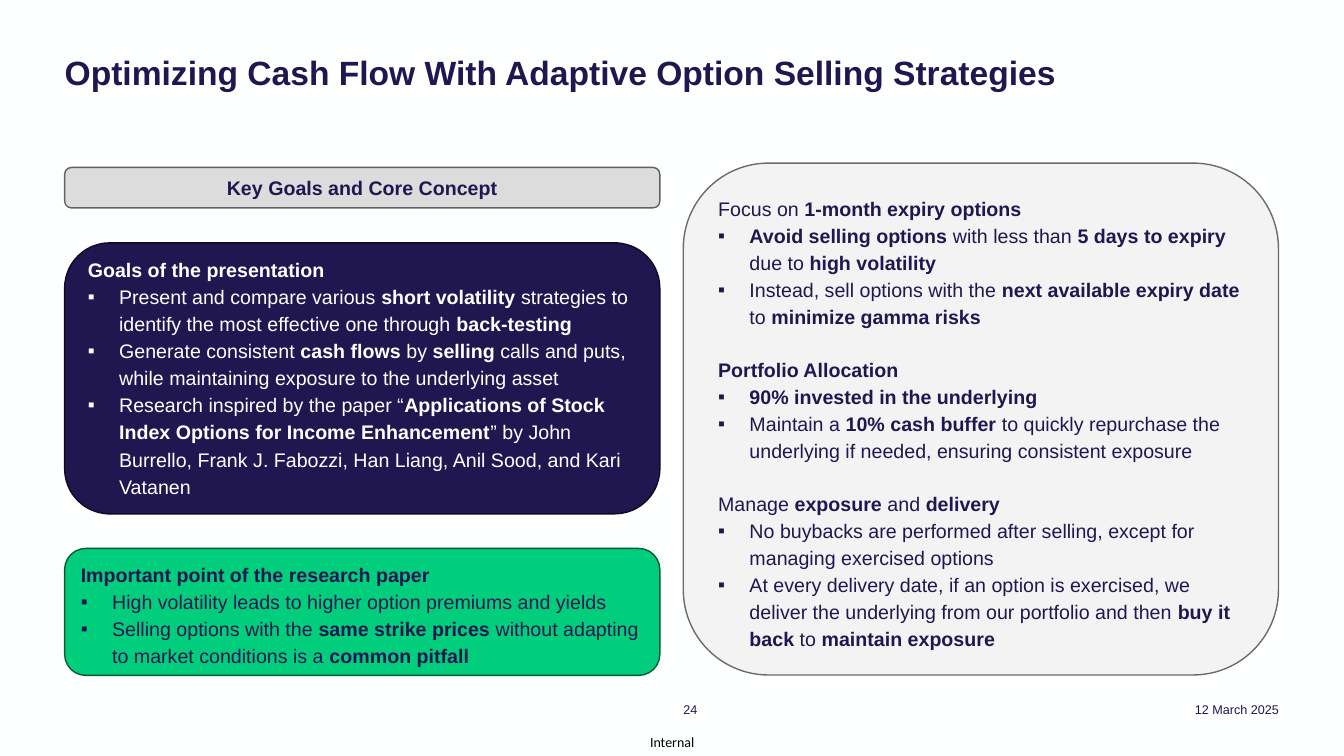
from dataclasses import dataclass

from lxml import etree
from pptx import Presentation
from pptx import util as u
from pptx.dml.color import RGBColor
from pptx.enum import shapes, text
from pptx.oxml.ns import qn


@dataclass(frozen=True)
class Theme:
    font: str = "Arial"
    label_font: str = "Calibri"
    navy: str = "201751"
    white: str = "FEFFFF"
    black: str = "000000"
    # Panel styles: fill, outline, text
    grey: tuple = ("DCDCDC", "606060", "201751")
    dark: tuple = ("201751", "0E0A24", "FEFFFF")
    green: tuple = ("00CE7D", "005A37", "201751")
    light: tuple = ("F3F3F3", "6B6B6B", "201751")
    title_pt: int = 24
    body_pt: int = 14
    label_pt: int = 10
    footer_pt: int = 9
    title_leading: int = 33
    leading: float = 1.15
    group_gap: float = 18.5


T = Theme()
COLUMN_W = 15
LEFT, RIGHT = 1.63, 17.22

GOALS = [
    "**Goals of the presentation**",
    "- Present and compare various **short volatility **strategies to identify "
    "the most effective one through **back-testing**",
    "- Generate consistent **cash flows **by **selling** calls and puts, "
    "while maintaining exposure to the underlying asset",
    "- Research inspired by the paper “**Applications of Stock Index Options for "
    "Income Enhancement**” by John Burrello, Frank J. Fabozzi, Han Liang, "
    "Anil Sood, and Kari Vatanen",
]
PITFALL = [
    "**Important point of the research paper**",
    "- High volatility leads to higher option premiums and yields",
    "- Selling options with the **same strike prices** without adapting to "
    "market conditions is a **common pitfall**",
]
RULES = [
    "Focus on **1-month expiry options**",
    "- **Avoid selling options** with less than **5 days to expiry **due to "
    "**high volatility**",
    "- Instead, sell options with the **next available expiry date** to "
    "**minimize gamma risks**",
    "**Portfolio Allocation**",
    "- **90% invested in the underlying**",
    "- Maintain a **10% cash buffer** to quickly repurchase the underlying "
    "if needed, ensuring consistent exposure",
    "Manage **exposure** and **delivery**",
    "- No buybacks are performed after selling, except for managing "
    "exercised options",
    "- At every delivery date, if an option is exercised, we deliver the "
    "underlying from our portfolio and then **buy it back** to "
    "**maintain exposure**",
]


def cm_box(box):
    return [u.Cm(v) for v in box]


def set_margins(tf, left, top, right, bottom):
    tf.margin_left, tf.margin_top = u.Cm(left), u.Cm(top)
    tf.margin_right, tf.margin_bottom = u.Cm(right), u.Cm(bottom)


def style_run(r, size, color, bold=False, font=T.font):
    r.font.name, r.font.size, r.font.bold = font, u.Pt(size), bold
    r.font.color.rgb = RGBColor.from_string(color)


def add_bullet(p):
    pPr = p._p.get_or_add_pPr()
    pPr.set("marL", str(u.Cm(0.79)))
    pPr.set("indent", str(-u.Cm(0.79)))
    etree.SubElement(pPr, qn("a:buFont")).set("typeface", T.font)
    etree.SubElement(pPr, qn("a:buChar")).set("char", "▪")


def add_title(s, box, title):
    sp = s.shapes.title
    sp.left, sp.top, sp.width, sp.height = cm_box(box)
    tf = sp.text_frame
    tf.text = title
    tf.auto_size = text.MSO_AUTO_SIZE.NONE
    tf.vertical_anchor = text.MSO_ANCHOR.TOP
    set_margins(tf, 0, 0.13, 0, 0)
    p = tf.paragraphs[0]
    p.alignment = text.PP_ALIGN.LEFT
    p.line_spacing = u.Pt(T.title_leading)
    style_run(p.runs[0], T.title_pt, T.navy, True)


def add_panel(s, box, style, lines, anchor=text.MSO_ANCHOR.TOP,
              align=text.PP_ALIGN.LEFT):
    """Rounded panel; '- ' starts a bullet and ** switches bold."""
    fill, outline, color = style
    sp = s.shapes.add_shape(shapes.MSO_SHAPE.ROUNDED_RECTANGLE, *cm_box(box))
    sp.shadow.inherit = False
    sp.fill.solid()
    sp.fill.fore_color.rgb = RGBColor.from_string(fill)
    sp.line.color.rgb = RGBColor.from_string(outline)
    sp.line.width = u.Pt(1)
    tf = sp.text_frame
    tf.word_wrap = True
    tf.vertical_anchor = anchor
    set_margins(tf, 0.25, 0.13, 0.25, 0.23)
    for i, line in enumerate(lines):
        p = tf.paragraphs[0] if i == 0 else tf.add_paragraph()
        p.alignment, p.line_spacing = align, T.leading
        if line.startswith("- "):
            add_bullet(p)
        elif i:
            p.space_before = u.Pt(T.group_gap)
        for j, part in enumerate(line.removeprefix("- ").split("**")):
            if part:
                r = p.add_run()
                r.text = part
                style_run(r, T.body_pt, color, j % 2 == 1)


def add_label(s, box, label, align, anchor=text.MSO_ANCHOR.BOTTOM,
              size=T.footer_pt, color=T.navy, font=T.font):
    tf = s.shapes.add_textbox(*cm_box(box)).text_frame
    tf.text = label
    tf.word_wrap = True
    tf.vertical_anchor = anchor
    set_margins(tf, 0, 0, 0, 0)
    p = tf.paragraphs[0]
    p.alignment, p.line_spacing = align, 1.1
    style_run(p.runs[0], size, color, font=font)


def add_left_column(s, x, w):
    middle = text.MSO_ANCHOR.MIDDLE
    add_panel(s, (x, 4.22, w, 1.02), T.grey, ["**Key Goals and Core Concept**"],
              middle, text.PP_ALIGN.CENTER)
    add_panel(s, (x, 6.12, w, 6.83), T.dark, GOALS, middle)
    add_panel(s, (x, 13.82, w, 3.2), T.green, PITFALL)


def add_right_column(s, x, w):
    add_panel(s, (x, 4.11, w, 12.9), T.light, RULES)


def add_footer(s, y):
    add_label(s, (RIGHT, y, 2.41, 0.43), "24", text.PP_ALIGN.LEFT)
    add_label(s, (28.42, y, 3.81, 0.43), "12 March 2025", text.PP_ALIGN.RIGHT)
    add_label(s, (16, y + 0.66, 1.88, 0.74), "Internal", text.PP_ALIGN.CENTER,
              text.MSO_ANCHOR.MIDDLE, T.label_pt, T.black, T.label_font)


def main():
    prs = Presentation()
    prs.slide_width, prs.slide_height = u.Cm(33.87), u.Cm(19.05)
    s = prs.slides.add_slide(prs.slide_layouts[5])
    s.background.fill.solid()
    s.background.fill.fore_color.rgb = RGBColor.from_string(T.white)

    add_title(s, (LEFT, 1.02, 30.6, 1.3),
              "Optimizing Cash Flow With Adaptive Option Selling Strategies")
    add_left_column(s, LEFT, COLUMN_W)
    add_right_column(s, RIGHT, COLUMN_W)
    add_footer(s, 17.65)
    prs.save("out.pptx")


if __name__ == "__main__":
    main()
